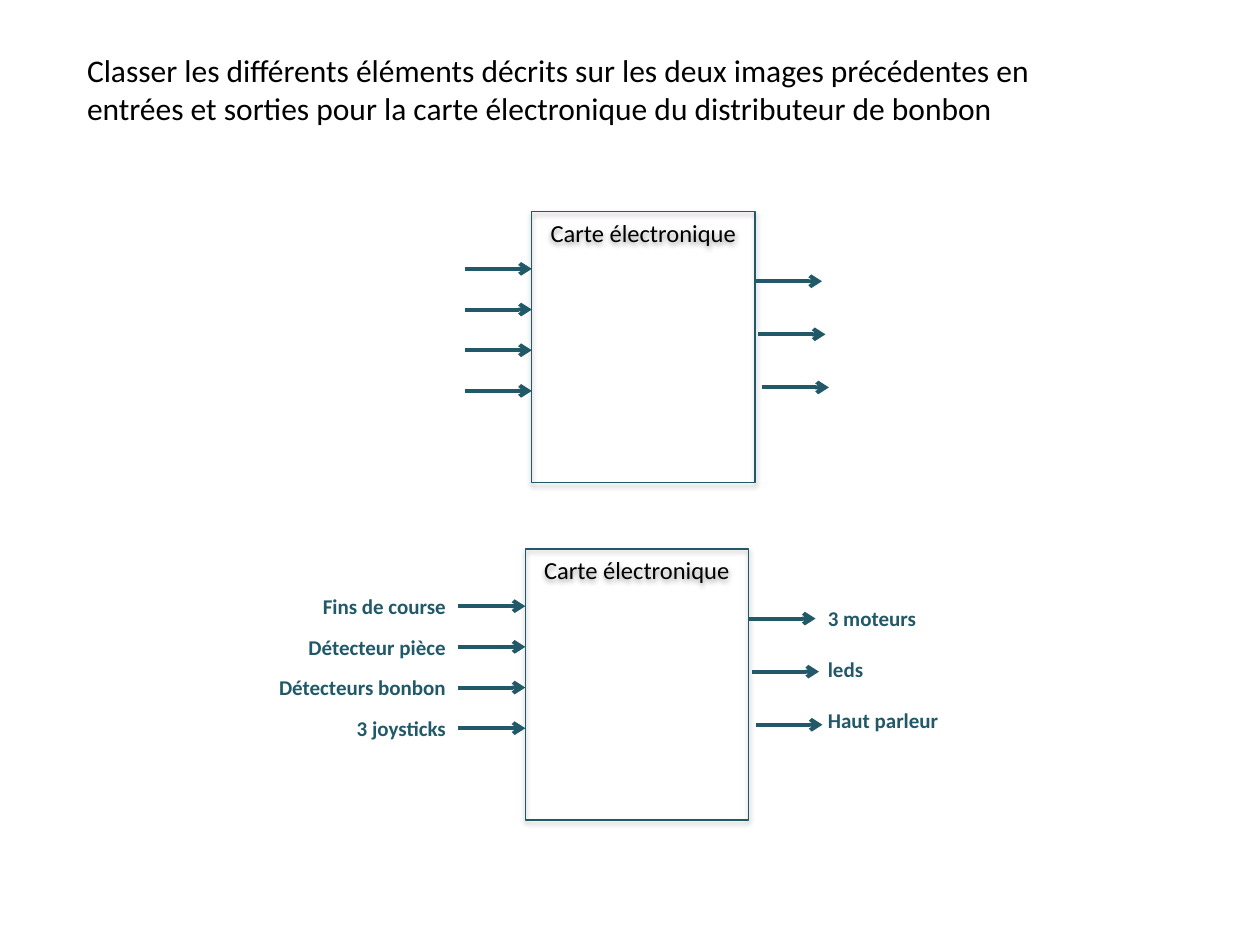
from lxml import etree
from pptx import Presentation
from pptx import util as u
from pptx.dml.color import RGBColor
from pptx.enum import shapes, text
from pptx.oxml import parse_xml
from pptx.oxml.ns import nsdecls, qn

TITLE = ("Classer les différents éléments décrits sur les deux images précédentes en "
         "entrées et sorties pour la carte électronique du distributeur de bonbon")
BOARD_NAME = "Carte électronique"
INPUTS = ["Fins de course", "Détecteur pièce", "Détecteurs bonbon", "3 joysticks"]
OUTPUTS = ["3 moteurs", "leds", "Haut parleur"]
# left and top in cm, and whether the answers are shown
BOARDS = [(10.72, 4.27, False), (10.59, 11.07, True)]

COLOURS = {"teal": "215968", "black": "000000"}
FONT = "Calibri"
BOARD_WIDTH, BOARD_HEIGHT = 4.5, 5.46
ARROW_LENGTH = 1.35
LABEL_WIDTH, LABEL_HEIGHT = 4.75, 0.81
FIRST_INPUT, INPUT_STEP = 1.15, 0.82
FIRST_OUTPUT, OUTPUT_STEP, OUTPUT_SHIFT = 1.4, 1.07, 0.07
OUTPUT_LABEL_STEP = 1.02

SHADOW = (f'<a:effectLst {nsdecls("a")}><a:outerShdw blurRad="40000" dist="20000" '
          f'dir="5400000" rotWithShape="0"><a:srgbClr val="{COLOURS["black"]}">'
          '<a:alpha val="38000"/></a:srgbClr></a:outerShdw></a:effectLst>')


def colour(name):
    return RGBColor.from_string(COLOURS[name])


def write(shape, words, size, colour_name, alignment, anchor, bold=False):
    frame = shape.text_frame
    frame.word_wrap = True
    frame.vertical_anchor = anchor
    frame.text = words
    paragraph = frame.paragraphs[0]
    paragraph.alignment = alignment
    font = paragraph.runs[0].font
    font.name, font.size, font.bold = FONT, u.Pt(size), bold
    font.color.rgb = colour(colour_name)


def add_board(slide, left, top):
    board = slide.shapes.add_shape(
        shapes.MSO_SHAPE.RECTANGLE, u.Cm(left), u.Cm(top),
        u.Cm(BOARD_WIDTH), u.Cm(BOARD_HEIGHT))
    board.fill.background()
    board.line.color.rgb = colour("teal")
    board.line.width = u.Pt(0.75)
    board.element.spPr.append(parse_xml(SHADOW))
    write(board, BOARD_NAME, 14, "black", text.PP_ALIGN.CENTER, text.MSO_ANCHOR.TOP)


def add_arrow(slide, left, y):
    arrow = slide.shapes.add_connector(
        shapes.MSO_CONNECTOR.STRAIGHT, u.Cm(left), u.Cm(y),
        u.Cm(left + ARROW_LENGTH), u.Cm(y))
    arrow.line.color.rgb = colour("teal")
    arrow.line.width = u.Pt(2.25)
    properties = arrow.element.spPr
    etree.SubElement(properties.find(qn("a:ln")), qn("a:tailEnd"), type="arrow")
    etree.SubElement(properties, qn("a:effectLst"))


def add_label(slide, words, left, middle, alignment):
    label = slide.shapes.add_textbox(
        u.Cm(left), u.Cm(middle - LABEL_HEIGHT / 2), u.Cm(LABEL_WIDTH), u.Cm(LABEL_HEIGHT))
    write(label, words, 12, "teal", alignment, text.MSO_ANCHOR.MIDDLE, bold=True)


def add_diagram(slide, left, top, answered):
    """Add a board with its input arrows, output arrows and, if answered, their labels."""
    add_board(slide, left, top)
    input_left = left - ARROW_LENGTH
    for index, words in enumerate(INPUTS):
        y = top + FIRST_INPUT + index * INPUT_STEP
        add_arrow(slide, input_left, y)
        if answered:
            add_label(slide, words, input_left - LABEL_WIDTH, y, text.PP_ALIGN.RIGHT)
    right = left + BOARD_WIDTH
    first_y = top + FIRST_OUTPUT
    for index, words in enumerate(OUTPUTS):
        add_arrow(slide, right + index * OUTPUT_SHIFT, first_y + index * OUTPUT_STEP)
        if answered:
            add_label(slide, words, right + ARROW_LENGTH,
                      first_y + index * OUTPUT_LABEL_STEP, text.PP_ALIGN.LEFT)


def main():
    presentation = Presentation()
    presentation.slide_width, presentation.slide_height = u.Cm(25.4), u.Cm(19.05)
    slide = presentation.slides.add_slide(presentation.slide_layouts.get_by_name("Title Only"))
    title = slide.shapes.title
    title.left, title.top = u.Cm(1.5), u.Cm(0.91)
    title.width, title.height = u.Cm(21.41), u.Cm(1.8)
    write(title, TITLE, 18, "black", text.PP_ALIGN.LEFT, text.MSO_ANCHOR.TOP)
    for left, top, answered in BOARDS:
        add_diagram(slide, left, top, answered)
    presentation.save("out.pptx")


if __name__ == "__main__":
    main()
